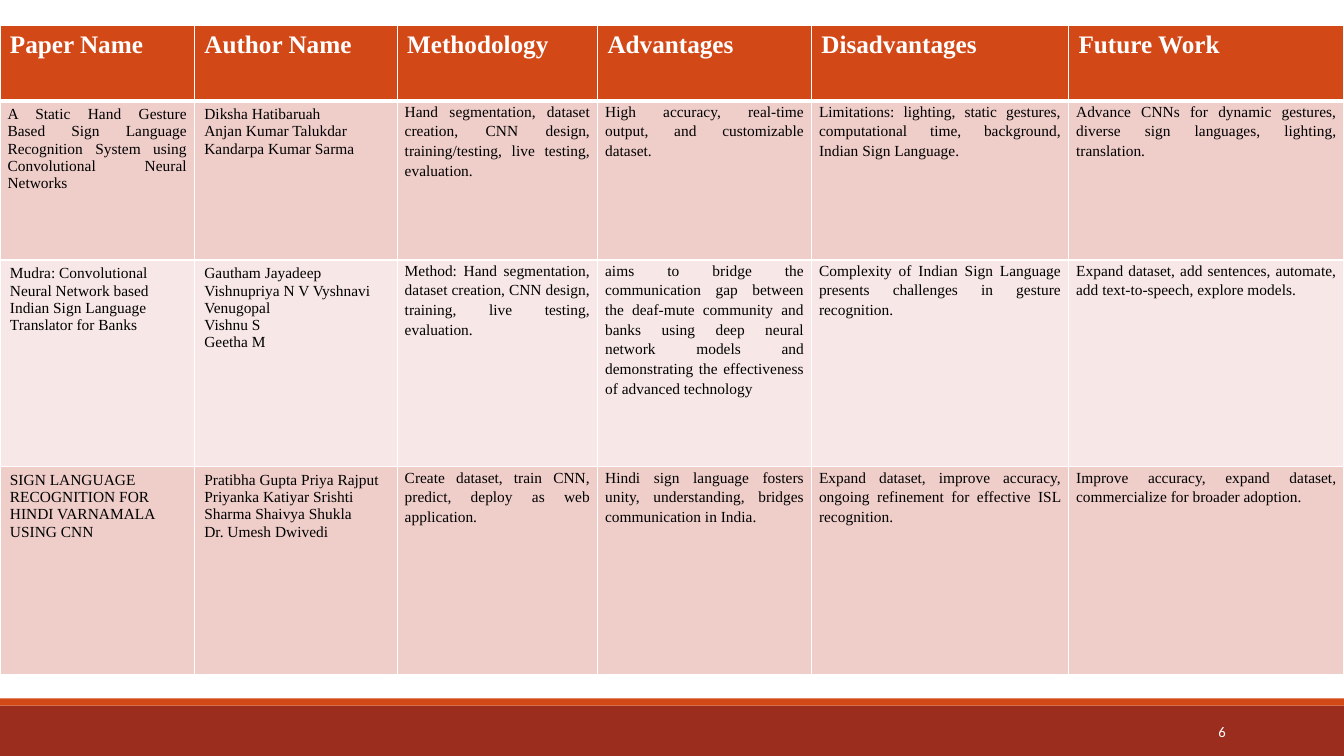
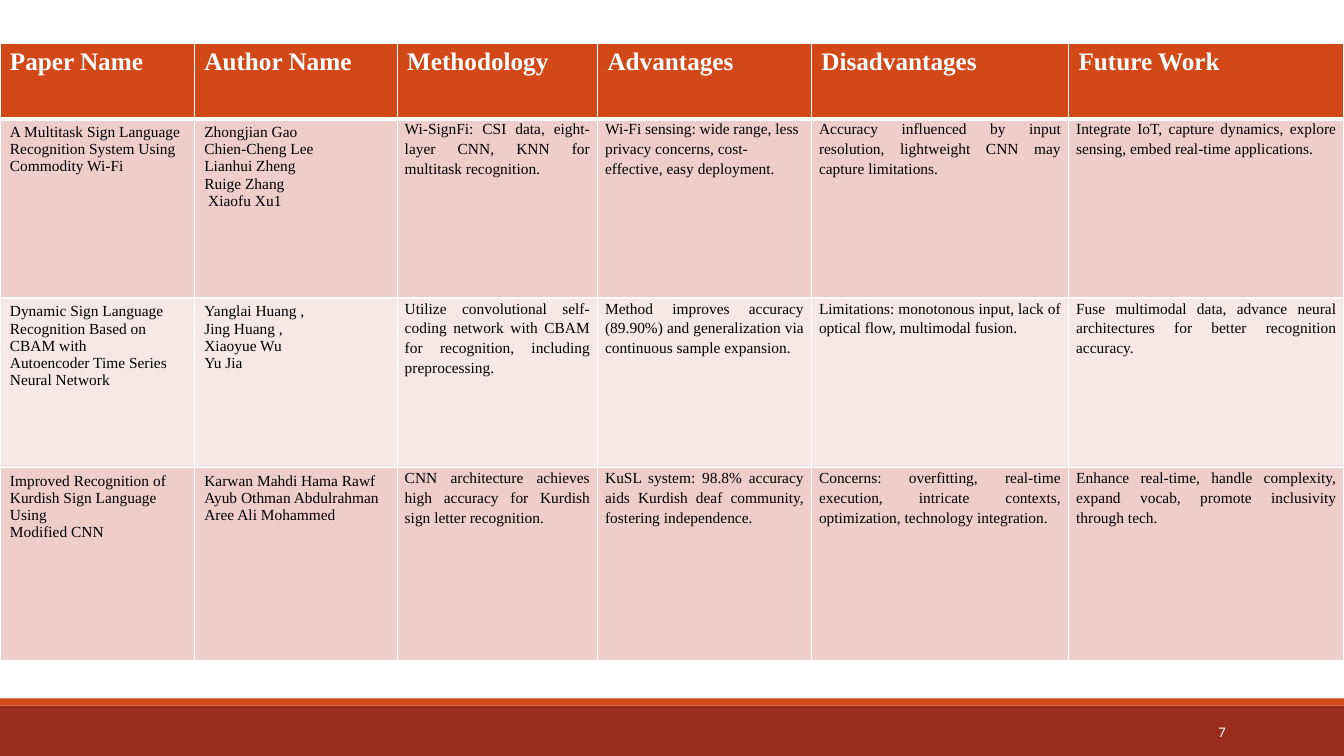
from lxml.etree import SubElement
from pptx import Presentation
from pptx.dml.color import RGBColor
from pptx.enum.shapes import MSO_SHAPE as SHAPE
from pptx.enum.text import MSO_ANCHOR as ANCHOR, PP_ALIGN as ALIGN
from pptx.oxml.ns import qn
from pptx.util import Cm, Pt

WHITE, BLACK = "FFFFFF", "000000"
ORANGE, BRICK = "D34817", "9B2D1F"
ROW_FILLS = [ORANGE, "EFCECA", "F7E8E7", "EFCECA"]
WIDTH = 33.87
COL_WIDTHS = [4.9, 5.11, 5.05, 5.39, 6.48, 6.94]
BANDS = [(17.78, 1.27, BRICK), (17.6, 0.18, ORANGE)]
HEADERS = ["Paper Name", "Author Name", "Methodology", "Advantages",
           "Disadvantages", "Future Work"]

SLIDES = [
    {
        "number": "6", "top": 0.64, "heights": [1.9, 4.01, 5.21, 5.23],
        "realigned": (1, 0),
        "rows": [
            ["A Static Hand Gesture Based Sign Language Recognition System using "
             "Convolutional Neural Networks",
             "Diksha Hatibaruah\nAnjan Kumar Talukdar\nKandarpa Kumar Sarma",
             "Hand segmentation, dataset creation, CNN design, training/testing, "
             "live testing, evaluation.",
             "High accuracy, real-time output, and customizable dataset.",
             "Limitations: lighting, static gestures, computational time, "
             "background, Indian Sign Language.",
             "Advance CNNs for dynamic gestures, diverse sign languages, "
             "lighting, translation."],
            ["Mudra: Convolutional Neural Network based Indian Sign Language "
             "Translator for Banks",
             "Gautham Jayadeep Vishnupriya N V Vyshnavi Venugopal\nVishnu S\nGeetha M",
             "Method: Hand segmentation, dataset creation, CNN design, training, "
             "live testing, evaluation.",
             "aims to bridge the communication gap between the deaf-mute community "
             "and banks using deep neural network models and demonstrating the "
             "effectiveness of advanced technology",
             "Complexity of Indian Sign Language presents challenges in gesture "
             "recognition.",
             "Expand dataset, add sentences, automate, add text-to-speech, "
             "explore models."],
            ["SIGN LANGUAGE RECOGNITION FOR HINDI VARNAMALA USING CNN",
             "Pratibha Gupta Priya Rajput Priyanka Katiyar Srishti Sharma Shaivya "
             "Shukla\nDr. Umesh Dwivedi",
             "Create dataset, train CNN, predict, deploy as web application.",
             "Hindi sign language fosters unity, understanding, bridges "
             "communication in India.",
             "Expand dataset, improve accuracy, ongoing refinement for effective "
             "ISL recognition.",
             "Improve accuracy, expand dataset, commercialize for broader adoption."],
        ],
    },
    {
        "number": "7", "top": 1.09, "heights": [1.9, 4.52, 4.27, 4.88],
        "realigned": (1, 3),
        "rows": [
            ["A Multitask Sign Language Recognition System Using\nCommodity Wi-Fi",
             "Zhongjian Gao\nChien-Cheng Lee\nLianhui Zheng\nRuige Zhang\n Xiaofu Xu1",
             "Wi-SignFi: CSI data, eight-layer CNN, KNN for multitask recognition.",
             "Wi-Fi sensing: wide range, less privacy concerns, cost-effective, "
             "easy deployment.",
             "Accuracy influenced by input resolution, lightweight CNN may capture "
             "limitations.",
             "Integrate IoT, capture dynamics, explore sensing, embed real-time "
             "applications."],
            ["Dynamic Sign Language Recognition Based on CBAM with\n"
             "Autoencoder Time Series Neural Network",
             "Yanglai Huang ,\nJing Huang ,\nXiaoyue Wu\nYu Jia",
             "Utilize convolutional self-coding network with CBAM for recognition, "
             "including preprocessing.",
             "Method improves accuracy (89.90%) and generalization via continuous "
             "sample expansion.",
             "Limitations: monotonous input, lack of optical flow, multimodal fusion.",
             "Fuse multimodal data, advance neural architectures for better "
             "recognition accuracy."],
            ["Improved Recognition of Kurdish Sign Language Using\nModified CNN",
             "Karwan Mahdi Hama Rawf\nAyub Othman Abdulrahman\nAree Ali Mohammed",
             "CNN architecture achieves high accuracy for Kurdish sign letter "
             "recognition.",
             "KuSL system: 98.8% accuracy aids Kurdish deaf community, fostering "
             "independence.",
             "Concerns: overfitting, real-time execution, intricate contexts, "
             "optimization, technology integration.",
             "Enhance real-time, handle complexity, expand vocab, promote "
             "inclusivity through tech."],
        ],
    },
]


def paint(fmt, color):
    if hasattr(fmt, "solid"):
        fmt.solid()
        fmt = fmt.fore_color
    else:
        fmt = fmt.color
    fmt.rgb = RGBColor.from_string(color)


def add_run(p, text, size, name, color, bold=False):
    r = p.add_run()
    r.text = text
    r.font.size = Pt(size)
    r.font.name = name
    r.font.bold = bold
    paint(r.font, color)


prs = Presentation()
prs.slide_width, prs.slide_height = Cm(WIDTH), Cm(19.05)

for data in SLIDES:
    s = prs.slides.add_slide(prs.slide_layouts[6])
    for top, height, color in BANDS:
        sp = s.shapes.add_shape(SHAPE.RECTANGLE, 0, Cm(top), Cm(WIDTH), Cm(height))
        sp.shadow.inherit = False
        sp.line.fill.background()
        paint(sp.fill, color)

    heights = data["heights"]
    table = s.shapes.add_table(len(heights), len(HEADERS), 0, Cm(data["top"]),
                               Cm(WIDTH), Cm(sum(heights))).table
    table.first_row = table.horz_banding = False
    for col, width in zip(table.columns, COL_WIDTHS):
        col.width = Cm(width)

    for i, texts in enumerate([HEADERS] + data["rows"]):
        table.rows[i].height = Cm(heights[i])
        header = i == 0
        for j, text in enumerate(texts):
            cell = table.cell(i, j)
            summary = not header and j >= 2
            justified = summary != ((i, j) == data["realigned"])
            side = 0.19 if summary or justified else 0.25
            cell.margin_left = cell.margin_right = Cm(side)
            cell.margin_top = cell.margin_bottom = Cm(0 if summary else 0.13)

            for edge in ("lnL", "lnR", "lnT", "lnB"):
                thick = (i, edge) in ((0, "lnB"), (1, "lnT"))
                ln = SubElement(cell._tc.get_or_add_tcPr(), qn("a:" + edge),
                                w=str(Pt(3 if thick else 1)))
                fill = SubElement(ln, qn("a:solidFill"))
                SubElement(fill, qn("a:srgbClr"), val=WHITE)
            paint(cell.fill, ROW_FILLS[i])

            tf = cell.text_frame
            for k, line in enumerate(text.split("\n")):
                p = tf.add_paragraph() if k else tf.paragraphs[0]
                p.alignment = ALIGN.JUSTIFY if justified else ALIGN.LEFT
                if summary:
                    p.line_spacing = 1.15
                add_run(p, line, 18 if header else 11, "Times New Roman",
                        WHITE if header else BLACK, header)

    tf = s.shapes.add_textbox(Cm(27.51), Cm(17.93), Cm(3.63), Cm(1.02)).text_frame
    tf.word_wrap = True
    tf.vertical_anchor = ANCHOR.MIDDLE
    p = tf.paragraphs[0]
    p.alignment = ALIGN.RIGHT
    add_run(p, data["number"], 10.5, "Calibri", WHITE)

prs.save("out.pptx")
